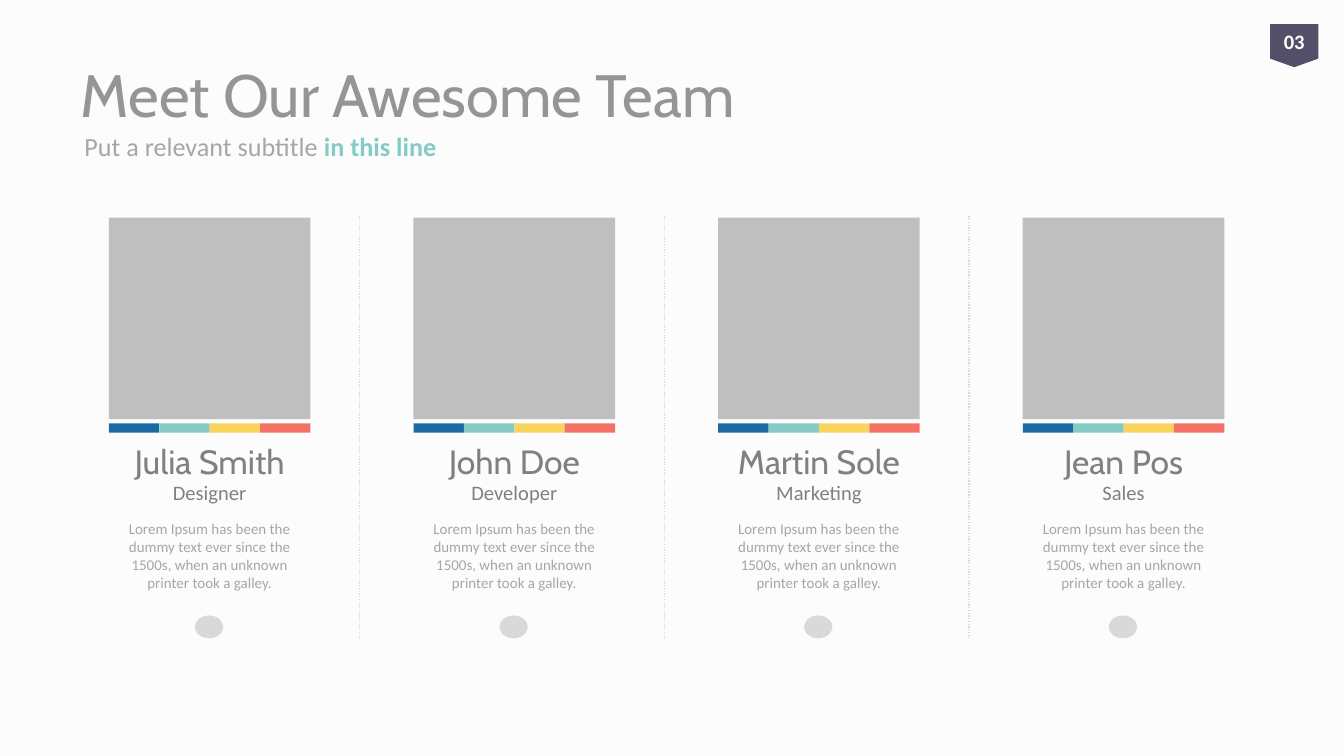
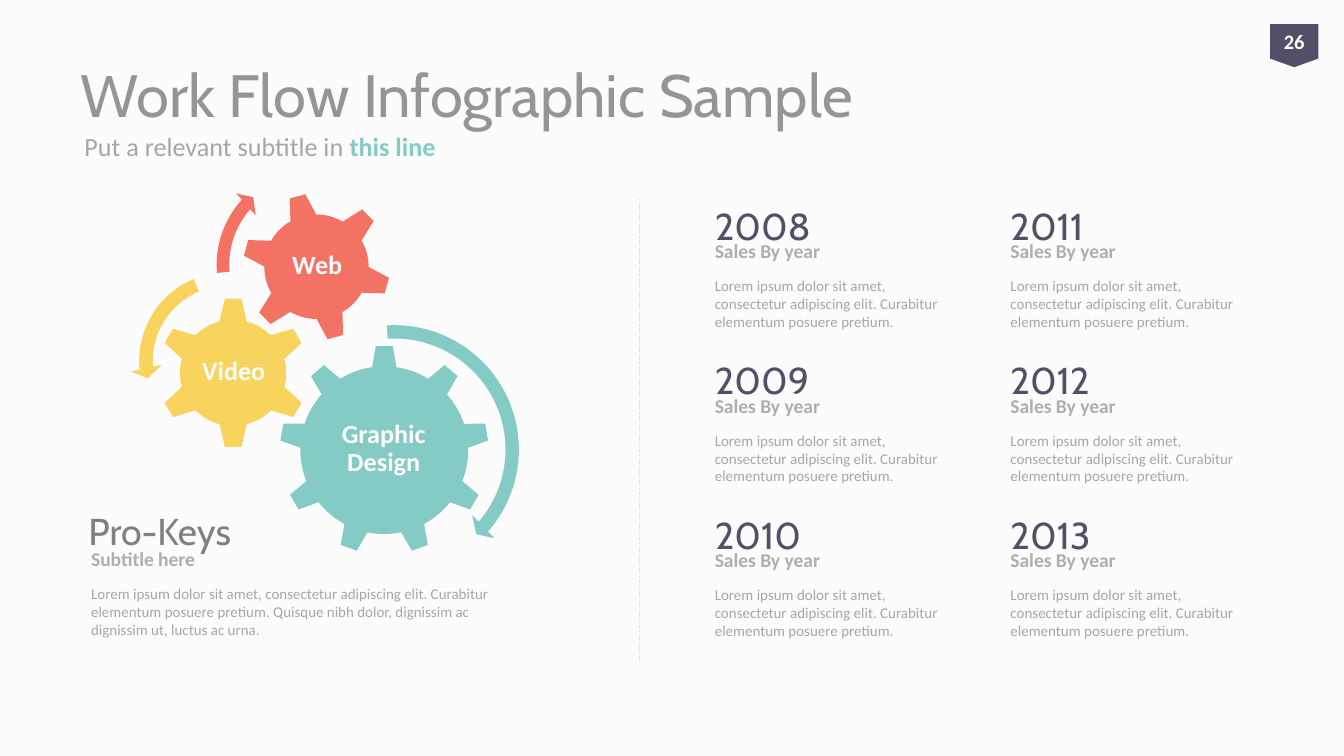
from lxml import etree
from pptx import Presentation
from pptx.dml.color import RGBColor as Rgb
from pptx.enum.dml import MSO_LINE as Dash
from pptx.enum.shapes import MSO_CONNECTOR as Link, MSO_SHAPE as Kind
from pptx.enum.text import MSO_ANCHOR as Anchor, PP_ALIGN as Align
from pptx.oxml.ns import qn
from pptx.util import Inches, Pt

WIDE = 10
HIGH = WIDE * 9 / 16
HUES = {
    "back": "FCFCFC", "title": "959595", "name": "808080", "body": "A6A6A6",
    "sub": "AEAEAE", "photo": "BFBFBF", "rule": "D9D9D9", "white": "FFFFFF",
    "blue": "1B6AA3", "teal": "84CBC5", "gold": "F8D35E", "coral": "F47264",
    "navy": "525068",
}
HEAD, BODY = "Cabin", "Calibri"
BANDS = ["blue", "teal", "gold", "coral"]
TEAM = [("Julia Smith", "Designer"), ("John Doe", "Developer"),
        ("Martin Sole", "Marketing"), ("Jean Pos", "Sales")]
BIO = ("Lorem Ipsum has been the dummy text ever since the 1500s, "
       "when an unknown printer took a galley.")
LOREM = ("Lorem ipsum dolor sit amet, consectetur adipiscing elit. "
         "Curabitur elementum posuere pretium.")
MORE = LOREM + " Quisque nibh dolor, dignissim ac dignissim ut, luctus ac urna."
GEARS = [
    ("Graphic Design", Kind.GEAR_9, "teal", (2.08, 2.57, 1.56), (2.39, 2.94, 0.93, 0.8), 0),
    ("Video", Kind.GEAR_6, "gold", (1.17, 2.21, 1.13), (1.46, 2.49, 0.56, 0.56), 0),
    ("Web", Kind.GEAR_6, "coral", (1.8, 1.43, 1.11), (2.05, 1.67, 0.62, 0.62), 345),
]
TURNS = [
    (Kind.CIRCULAR_ARROW, "teal", (1.94, 2.35, 1.99), (0.05, 2.99, 24.59, 159.9, 0.06)),
    (Kind.LEFT_CIRCULAR_ARROW, "gold", (0.97, 1.96, 1.45), (0.07, 4.3, 104.89, 148.38, 0.08)),
    (Kind.CIRCULAR_ARROW, "coral", (1.55, 1.19, 1.56), (0.06, 3.94, 133.14, 105.08, 0.07)),
]


def tint(key):
    return Rgb.from_string(HUES[key])


def place(box):
    return [Inches(n) for n in box]


def write(shape, *runs, size=8, font=BODY, hue="body", bold=False,
          align=Align.LEFT, anchor=Anchor.TOP, inset=None, wrap=True, space=None):
    frame = shape.text_frame
    frame.word_wrap = wrap
    frame.vertical_anchor = anchor
    if inset is not None:
        frame.margin_left = frame.margin_right = Inches(inset)
        frame.margin_top = frame.margin_bottom = Inches(inset)
    para = frame.paragraphs[0]
    para.alignment = align
    if space:
        para.line_spacing = space
    for item in runs:
        text, tone, heavy = (item, hue, bold) if isinstance(item, str) else item
        run = para.add_run()
        run.text = text
        run.font.name = font
        run.font.size = Pt(size)
        run.font.bold = heavy
        run.font.color.rgb = tint(tone)


def label(slide, box, *runs, **form):
    write(slide.shapes.add_textbox(*place(box)), *runs, **form)


def block(slide, kind, box, hue):
    shape = slide.shapes.add_shape(kind, *place(box))
    shape.shadow.inherit = False
    shape.fill.solid()
    shape.fill.fore_color.rgb = tint(hue)
    shape.line.fill.background()
    return shape


def rule(slide, x, top, end):
    line = slide.shapes.add_connector(Link.STRAIGHT, *place((x, top, x, end)))
    line.line.color.rgb = tint("rule")
    line.line.width = Pt(0.75)
    line.line.dash_style = Dash.ROUND_DOT
    etree.SubElement(line._element.spPr, qn("a:effectLst"))


def start(deck, title, plain, strong, page, span=9):
    slide = deck.slides.add_slide(deck.slide_layouts[5])
    head = slide.shapes.title
    head.left, head.top, head.width, head.height = place((0.5, 0.23, span, 0.94))
    write(head, title, size=32, font=HEAD, hue="title", anchor=Anchor.MIDDLE)
    label(slide, (0.53, 0.89, min(span, 9), 0.4), plain, (strong, "teal", True),
          size=14, anchor=Anchor.MIDDLE)
    badge = block(slide, Kind.FLOWCHART_OFFPAGE_CONNECTOR, (9.45, 0.18, 0.36, 0.32), "navy")
    write(badge, page, size=11, hue="white", bold=True, align=Align.CENTER,
          anchor=Anchor.MIDDLE, wrap=False)
    return slide


def card(slide, x, y, name, role):
    side = 1.5
    block(slide, Kind.RECTANGLE, (x, y, side, side), "photo")
    part = side / len(BANDS)
    for i, hue in enumerate(BANDS):
        block(slide, Kind.RECTANGLE, (x + i * part, y + 1.53, part, 0.07), hue)
    label(slide, (x, y + 1.61, side, 0.5), name, size=18, font=HEAD,
          hue="name", align=Align.CENTER)
    label(slide, (x - 0.06, y + 1.9, 1.62, 0.36), role, size=11,
          hue="name", align=Align.CENTER)
    label(slide, (x - 0.09, y + 2.2, 1.68, 0.64), BIO, align=Align.CENTER)
    block(slide, Kind.OVAL, (x + 0.64, y + 2.96, 0.21, 0.17), "rule")


def team(deck):
    slide = start(deck, "Meet Our Awesome Team", "Put a relevant subtitle ",
                  "in this line", "03")
    left, top, pitch = 0.81, 1.62, 6.8 / 3
    for i, (name, role) in enumerate(TEAM):
        x = left + i * pitch
        card(slide, x, top, name, role)
        if i:
            rule(slide, x - 0.4, top - 0.01, top + 3.13)


def gears(slide):
    for text, kind, hue, (x, y, side), box, turn in GEARS:
        gear = block(slide, kind, (x, y, side, side), hue)
        gear.rotation = turn
        label(slide, box, text, size=14, hue="white", bold=True, inset=0.02,
              align=Align.CENTER, anchor=Anchor.MIDDLE, space=0.9)
    for kind, hue, (x, y, side), bends in TURNS:
        arrow = block(slide, kind, (x, y, side, side), hue)
        for i, bend in enumerate(bends):
            arrow.adjustments[i] = bend


def note(slide, x, y, head, sub, text, wide=1.89, hue="navy", shift=0):
    label(slide, (x, y, 1.55, 0.41), head, size=20, font=HEAD, hue=hue)
    label(slide, (x + shift, y + 0.27 + shift, 1.63, 0.22), sub, size=10.5,
          hue="sub", bold=True)
    label(slide, (x + shift, y + 0.55 + shift, wide, 0.5), text)


def flow(deck):
    slide = start(deck, "Work Flow Infographic Sample",
                  "Put a relevant subtitle in ", "this line", "26", 6.24)
    gears(slide)
    note(slide, 0.56, 3.73, "Pro-Keys", "Subtitle here", MORE, 3.23, "name", 0.02)
    rule(slide, 4.76, 1.48, 4.94)
    for i in range(6):
        col, row = divmod(i, 3)
        note(slide, 5.22 + col * 2.2, 1.46 + row * 1.15, str(2008 + i),
             "Sales By year", LOREM)


def main():
    deck = Presentation()
    deck.slide_width, deck.slide_height = place((WIDE, HIGH))
    back = deck.slide_master.background.fill
    back.solid()
    back.fore_color.rgb = tint("back")
    team(deck)
    flow(deck)
    deck.save("out.pptx")


if __name__ == "__main__":
    main()
